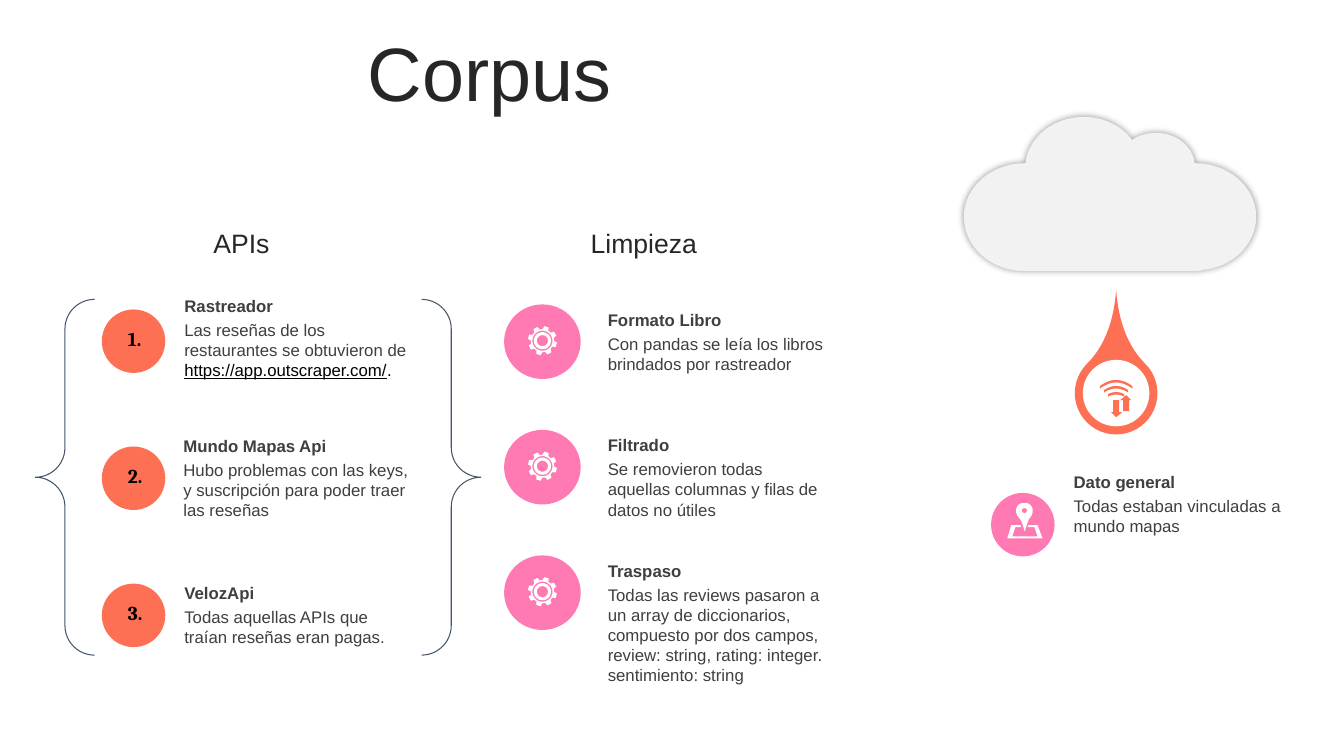
import math

import pptx
import pptx.dml.color
import pptx.enum.shapes
import pptx.enum.text
import pptx.oxml
import pptx.util

RGBColor = pptx.dml.color.RGBColor
SHAPE = pptx.enum.shapes.MSO_SHAPE
ALIGN = pptx.enum.text.PP_ALIGN
ANCHOR = pptx.enum.text.MSO_ANCHOR

ORANGE = RGBColor(0xFE, 0x70, 0x54)
PINK = RGBColor(0xFF, 0x79, 0xB2)
WHITE = RGBColor(0xFF, 0xFF, 0xFF)
BLACK = RGBColor(0x00, 0x00, 0x00)
CLOUD_GREY = RGBColor(0xF2, 0xF2, 0xF2)
TITLE_INK = RGBColor(0x26, 0x26, 0x26)
BODY_INK = RGBColor(0x3F, 0x3F, 0x3F)
BRACE_BLUE = RGBColor(0x44, 0x54, 0x6A)

EMU_PER_PX = 9144  # 100 px to the inch

# Outlines relative to their box: pairs are corners, sixes are cubic curves
CLOUD = [(119, 0), (139, 0, 157, 9, 167, 23), (173, 18, 182, 16, 191, 16),
         (211, 16, 227, 29, 229, 46), (230, 46), (263, 46, 290, 70, 290, 99),
         (290, 127, 266, 150, 235, 152), (235, 153), (60, 153),
         (27, 153, 0, 129, 0, 99), (0, 70, 27, 46, 60, 46), (61, 46),
         (64, 20, 89, 0, 119, 0)]
MAP_SHEET = [(4, 22), (13, 22), (14, 24), (8, 24), (5, 33), (30, 33),
             (27, 24), (20, 24), (21, 22), (30, 22), (35, 35), (0, 35)]
MAP_PIN = [(17, 0), (19, 0, 21, 0, 23, 2), (26, 5, 26, 10, 23, 14),
           (20, 17, 18, 28, 17, 28), (17, 28, 15, 17, 11, 14),
           (8, 10, 8, 5, 11, 2), (13, 0, 15, 0, 17, 0)]
ARROW_DOWN = [(13, 20), (19, 20), (19, 32), (22, 32), (16, 37), (11, 32), (13, 32)]
ARROW_UP = [(26, 15), (31, 20), (29, 20), (29, 31), (23, 31), (23, 20), (20, 20)]


def px(length):
    return pptx.util.Emu(round(length * EMU_PER_PX))


def flatten(outline, steps=16):
    """Turn an outline with cubic curves into straight points."""
    points = [outline[0]]
    for part in outline[1:]:
        if len(part) == 2:
            points.append(part)
            continue
        nodes = [points[-1], part[:2], part[2:4], part[4:]]
        for step in range(1, steps + 1):
            t = step / steps
            weights = ((1 - t) ** 3, 3 * t * (1 - t) ** 2, 3 * t * t * (1 - t), t ** 3)
            points.append(tuple(sum(w * node[axis] for w, node in zip(weights, nodes))
                                for axis in (0, 1)))
    return points


def polar(radius, degrees):
    angle = math.radians(degrees)
    return radius * math.cos(angle), radius * math.sin(angle)


def ring(radius, x=0, y=0):
    return [(x + dx, y + dy) for dx, dy in (polar(radius, a) for a in range(0, 360, 10))]


def paint(shape, fill):
    shape.shadow.inherit = False
    shape.fill.solid()
    shape.fill.fore_color.rgb = fill
    shape.line.fill.background()
    return shape


def add_outline(slide, left, top, contours, fill):
    placed = [[(px(left + x), px(top + y)) for x, y in contour] for contour in contours]
    builder = slide.shapes.build_freeform(*placed[0][0], scale=1.0)
    builder.add_line_segments(placed[0][1:], close=True)
    for contour in placed[1:]:
        builder.move_to(*contour[0])
        builder.add_line_segments(contour[1:], close=True)
    return paint(builder.convert_to_shape(), fill)


def add_disc(slide, left, top, width, height, fill, kind=SHAPE.OVAL):
    return paint(slide.shapes.add_shape(kind, px(left), px(top), px(width), px(height)), fill)


def write(frame, text, size=12, color=BODY_INK, font="Arial", bold=False,
          align=ALIGN.LEFT, anchor=ANCHOR.TOP, spacing=1.0, inset=5, link=None):
    """Write text; the part equal to link is black and underlined."""
    frame.word_wrap = True
    frame.auto_size = pptx.enum.text.MSO_AUTO_SIZE.NONE
    frame.vertical_anchor = anchor
    frame.margin_left = frame.margin_right = px(10)
    frame.margin_top = frame.margin_bottom = px(inset)
    paragraph = frame.paragraphs[0]
    paragraph.alignment, paragraph.line_spacing = align, spacing
    before, _, after = text.partition(link) if link else (text, "", "")
    for part in filter(None, (before, link, after)):
        run = paragraph.add_run()
        run.text = part
        run.font.name, run.font.size, run.font.bold = font, pptx.util.Pt(size), bold
        run.font.color.rgb = BLACK if link and part != before else color
        run.font.underline = part == link


def add_text(slide, left, top, width, height, text, **style):
    box = slide.shapes.add_textbox(px(left), px(top), px(width), px(height))
    write(box.text_frame, text, **style)


def add_item(slide, left, top, width, lines, heading, body, link=None):
    add_text(slide, left, top, width, 30, heading, bold=True)
    add_text(slide, left, top + 24, width, 10 + 20 * lines, body, link=link)


def add_heading(slide, left, top, text):
    add_text(slide, left, top, 135, 79, text, size=19, color=TITLE_INK,
             align=ALIGN.CENTER, anchor=ANCHOR.MIDDLE, spacing=0.9)


def add_title(slide, left, top, width, height, text):
    title = slide.shapes.title
    title.left, title.top, title.width, title.height = map(px, (left, top, width, height))
    write(title.text_frame, text, size=54, color=TITLE_INK,
          align=ALIGN.CENTER, anchor=ANCHOR.MIDDLE, spacing=0.9)


def add_gear(slide, x, y):
    teeth = [polar(radius, 16 + 45 * tooth + turn) for tooth in range(8)
             for radius, turn in ((11.5, -15), (14.5, -9), (14.5, 9), (11.5, 15))]
    add_outline(slide, x, y, [teeth, ring(10), ring(8.5), ring(5.5)], WHITE)


def add_apis(slide, left, top):
    add_heading(slide, left + 137, top, "APIs")
    brace = slide.shapes.add_shape(SHAPE.DOUBLE_BRACE, px(left), px(top + 94), px(442), px(353))
    brace.shadow.inherit = False
    brace.fill.background()
    brace.line.color.rgb = BRACE_BLUE
    brace.line.width = pptx.util.Pt(0.75)
    sources = [
        (138, 85, 3, "Rastreador", "Las reseñas de los restaurantes se obtuvieron de "
         "https://app.outscraper.com/.", "https://app.outscraper.com/"),
        (137, 224, 3, "Mundo Mapas Api", "Hubo problemas con las keys, y suscripción para "
         "poder traer las reseñas", None),
        (138, 370, 2, "VelozApi", "Todas aquellas APIs que traían reseñas eran pagas.", None)]
    for index, (x, y, lines, heading, body, link) in enumerate(sources):
        disc_top = top + 104 + 136 * index
        add_disc(slide, left + 66, disc_top, 63, 63, ORANGE)
        add_text(slide, left + 82, disc_top + 7, 40, 44, f"{index + 1}.", size=14,
                 color=BLACK, font="Cambria", bold=True, inset=10)
        add_item(slide, left + x, top + y, 245, lines, heading, body, link)


def add_cleaning(slide, left, top):
    add_heading(slide, left + 71, top, "Limpieza")
    steps = [
        (3, "Formato Libro", "Con pandas se leía los libros brindados por rastreador"),
        (3, "Filtrado", "Se removieron todas aquellas columnas y filas de datos no útiles"),
        (5, "Traspaso", "Todas las reviews pasaron a un array de diccionarios, compuesto por "
         "dos campos, review: string, rating: integer. sentimiento: string")]
    for index, (lines, heading, body) in enumerate(steps):
        step_top = top + 99 + 124.5 * index
        add_disc(slide, left, step_top, 76, 74, PINK)
        add_gear(slide, left + 38, step_top + 36)
        add_item(slide, left + 93, step_top, 240, lines, heading, body)


def add_cloud(slide, left, top):
    cloud = add_outline(slide, left, top, [flatten(CLOUD)], CLOUD_GREY)
    effects = cloud._element.spPr.find(pptx.oxml.ns.qn("a:effectLst"))
    effects.append(pptx.oxml.parse_xml(
        f'<a:outerShdw {pptx.oxml.ns.nsdecls("a")} blurRad="63500" dist="0" dir="0" '
        'rotWithShape="0"><a:srgbClr val="000000"><a:alpha val="40000"/></a:srgbClr>'
        '</a:outerShdw>'))
    # Drop with the signal icon
    drop = add_disc(slide, left + 110, top + 233, 82, 82, ORANGE, SHAPE.TEAR)
    drop.adjustments[0] = 1.769
    drop.rotation = 315
    add_disc(slide, left + 118, top + 241, 66, 66, WHITE)
    signal = [ARROW_DOWN, ARROW_UP]
    for reach, crest, sag in ((16, 0, 6), (12, 6, 4), (8, 12, 2)):
        upper = [(16 + reach * t / 8, crest + sag * (t / 8) ** 2) for t in range(-8, 9)]
        signal.append(upper + [(x, y + 2.5) for x, y in reversed(upper)])
    add_outline(slide, left + 135, top + 261, signal, ORANGE)
    # General note with the map icon
    add_disc(slide, left + 27, top + 373, 63, 63, PINK)
    add_outline(slide, left + 43, top + 383,
                [MAP_SHEET, flatten(MAP_PIN), ring(2.5, 17, 7.5)], WHITE)
    add_item(slide, left + 99, top + 347, 240, 2, "Dato general",
             "Todas estaban vinculadas a mundo mapas")


def main():
    deck = pptx.Presentation()
    deck.slide_width, deck.slide_height = px(1333), px(750)
    slide = deck.slides.add_slide(deck.slide_layouts[5])
    add_title(slide, 35, 37, 901, 79, "Corpus")
    add_apis(slide, 35, 203)
    add_cleaning(slide, 500, 203)
    add_cloud(slide, 956, 116)
    deck.save("out.pptx")


if __name__ == "__main__":
    main()
